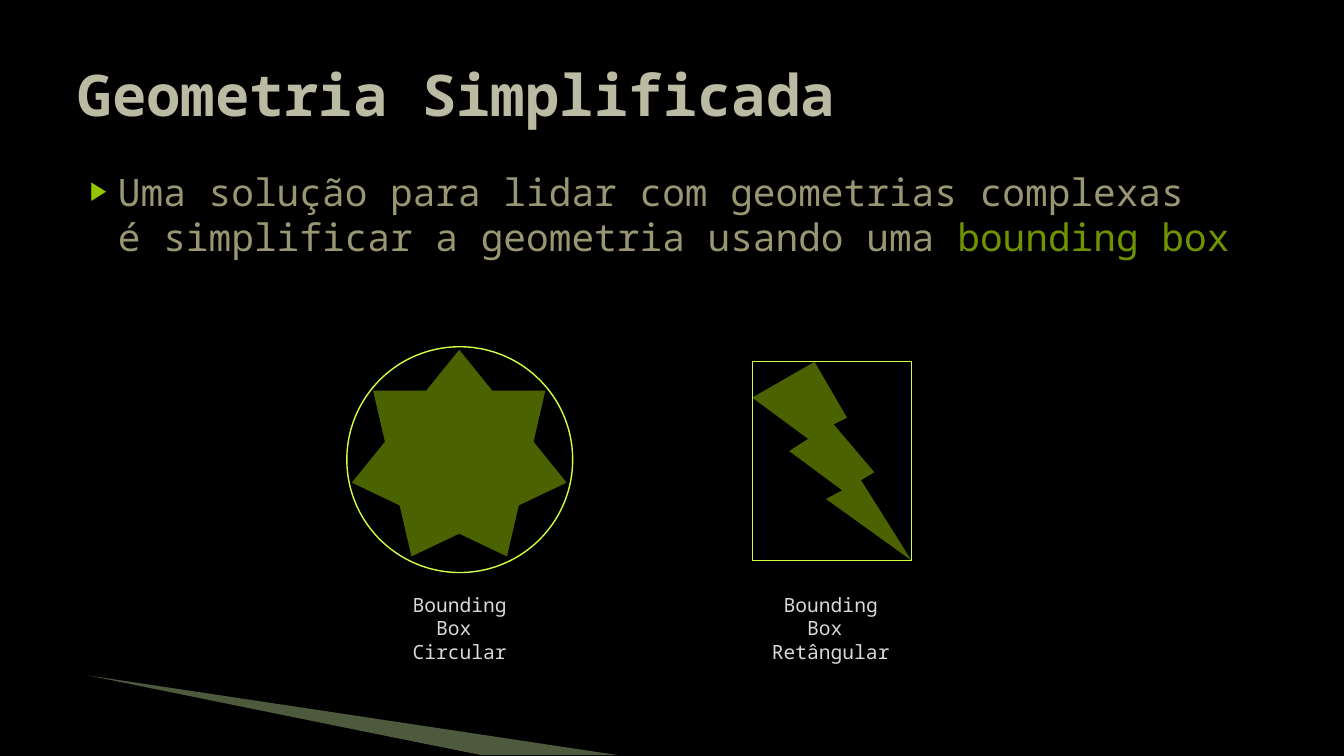
from lxml import etree
from pptx import Presentation
from pptx.dml.color import RGBColor
from pptx.enum.shapes import MSO_SHAPE as Shape
from pptx.enum.text import MSO_ANCHOR as Anchor, MSO_AUTO_SIZE as AutoSize, PP_ALIGN as Align
from pptx.oxml import parse_xml
from pptx.oxml.ns import nsdecls, qn
from pptx.util import Inches, Pt


def color(hex_code):
    return RGBColor.from_string(hex_code)


def style(paragraph, size, hex_code, align, bold=False):
    paragraph.alignment = align
    paragraph.font.name = "Noto Sans Mono"
    paragraph.font.size = Pt(size)
    paragraph.font.bold = bold
    paragraph.font.color.rgb = color(hex_code)


prs = Presentation()
prs.slide_width, prs.slide_height = Inches(13.33), Inches(7.5)
slide = prs.slides.add_slide(prs.slide_layouts[1])
slide.background.fill.solid()
slide.background.fill.fore_color.rgb = color("000000")

# Wedges at the bottom left: a translucent green one, then a black one
wedges = [
    ([(0.87, 6.7), (6.12, 7.49), (4.76, 7.49)], "C3E19D", 40),
    ([(0.84, 6.72), (4.76, 7.49), (3.94, 7.49)], "000000", 100),
]
for corners, hex_code, opacity in wedges:
    points = [(Inches(x), Inches(y)) for x, y in corners]
    outline = slide.shapes.build_freeform(*points[0])
    outline.add_line_segments(points[1:], close=True)
    wedge = outline.convert_to_shape()
    wedge.shadow.inherit = False
    wedge.fill.solid()
    wedge.fill.fore_color.rgb = color(hex_code)
    wedge.line.fill.background()
    if opacity < 100:
        rgb = wedge.fill._xPr.find(".//" + qn("a:srgbClr"))
        etree.SubElement(rgb, qn("a:alpha"), val=str(opacity * 1000))

# Title
title = slide.shapes.title
title.left, title.top, title.width, title.height = map(Inches, (0.67, 0.3, 12, 1.25))
title.text_frame.text = "Geometria Simplificada"
title.text_frame.auto_size = AutoSize.NONE
title.text_frame.vertical_anchor = Anchor.MIDDLE
style(title.text_frame.paragraphs[0], 41, "BBBAA2", Align.LEFT, bold=True)

# Bulleted explanation
body = slide.placeholders[1]
body.left, body.top, body.width, body.height = map(Inches, (0.67, 1.62, 12, 4.95))
body.text_frame.auto_size = AutoSize.NONE
solution = body.text_frame.paragraphs[0]
solution.text = "Uma solução para lidar com geometrias complexas\vé simplificar a geometria usando uma "
term = solution.add_run()
term.text = "bounding box"
term.font.color.rgb = color("6F9400")
solution.space_before = Pt(0)
bullet = solution._p.get_or_add_pPr()
bullet.set("marL", str(Inches(0.4)))
bullet.set("indent", str(Inches(-0.28)))
for element in (
    '<a:buClr %s><a:srgbClr val="94C600"/></a:buClr>',
    '<a:buSzPct %s val="68000"/>',
    '<a:buChar %s char="▶"/>',
):
    bullet.append(parse_xml(element % nsdecls("a")))
style(solution, 27, "999773", Align.LEFT)

# Each figure: geometry, its bounding box and the caption below
figures = [
    (Shape.STAR_7_POINT, (3.49, 3.47, 2.13, 2.05),
     Shape.OVAL, (3.44, 3.44, 2.24, 2.24), 1, "Circular", 3.77),
    (Shape.LIGHTNING_BOLT, (7.46, 3.59, 1.58, 1.97),
     Shape.RECTANGLE, (7.46, 3.59, 1.58, 1.97), 0.75, "Retângular", 7.45),
]
for geometry, geometry_area, bounds, bounds_area, weight, kind, caption_left in figures:
    solid = slide.shapes.add_shape(geometry, *map(Inches, geometry_area))
    solid.shadow.inherit = False
    solid.fill.solid()
    solid.fill.fore_color.rgb = color("4A6300")
    solid.line.fill.background()

    bounding_box = slide.shapes.add_shape(bounds, *map(Inches, bounds_area))
    bounding_box.shadow.inherit = False
    bounding_box.fill.background()
    bounding_box.line.color.rgb = color("D0FF44")
    bounding_box.line.width = Pt(weight)

    caption = slide.shapes.add_textbox(
        Inches(caption_left), Inches(5.83), Inches(1.58), Inches(0.57)).text_frame
    caption.word_wrap = True
    caption.text = "Bounding Box \v" + kind
    style(caption.paragraphs[0], 14, "D9D9D9", Align.CENTER)

prs.save("out.pptx")
